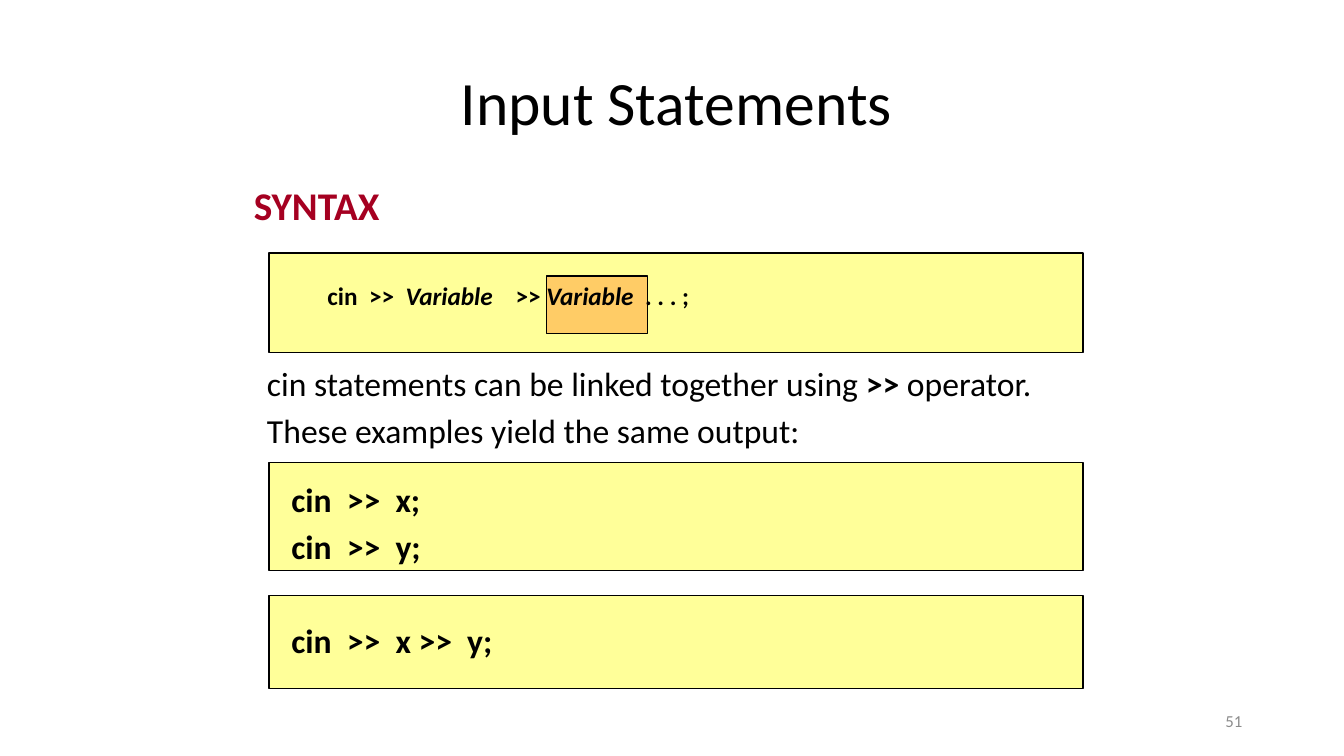
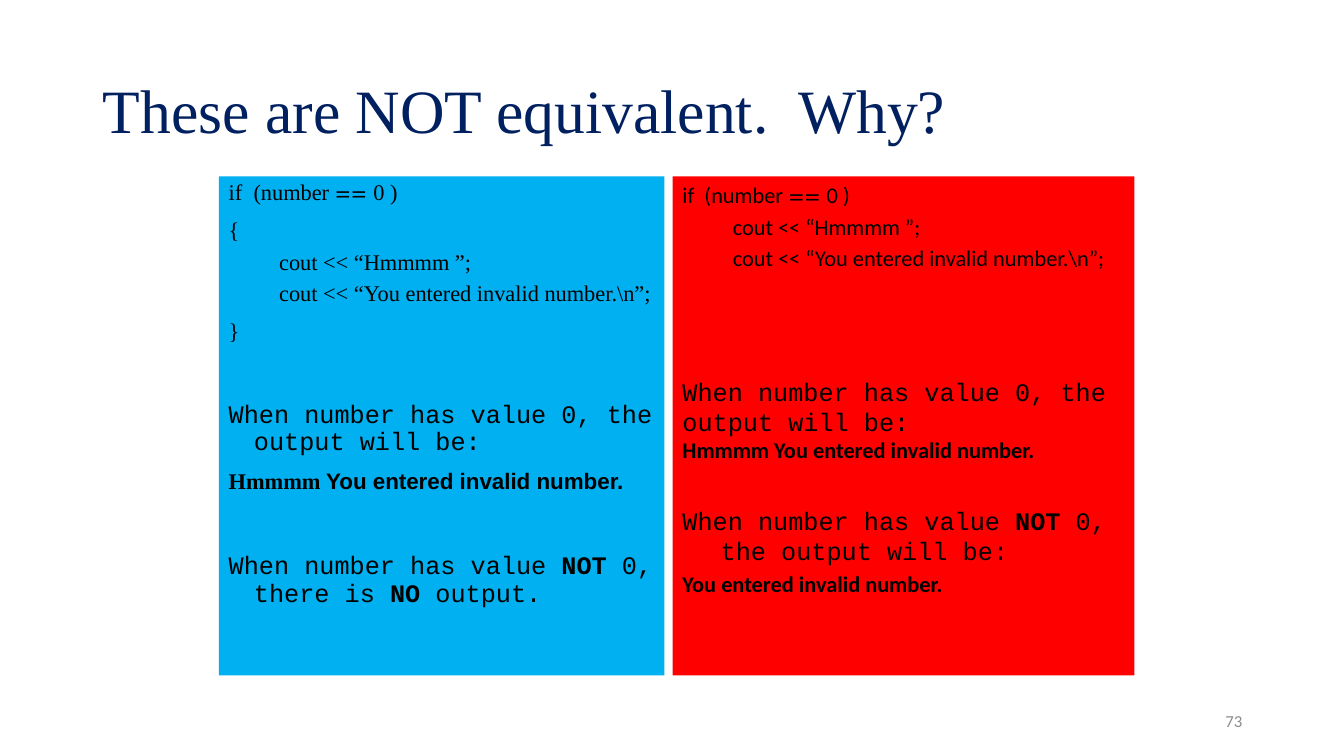
from dataclasses import dataclass, field

from pptx import Presentation
from pptx import util as u
from pptx.dml.color import RGBColor
from pptx.enum import shapes, text

PX = 9144  # EMU in one px, 100 px to the inch


@dataclass(frozen=True)
class Theme:
    ink: str = "000000"
    navy: str = "002060"
    wine: str = "A50021"
    gray: str = "8C8C8C"
    pale: str = "FFFF99"
    amber: str = "FFCC66"
    blue: str = "00B0F0"
    red: str = "FF0000"
    sans: str = "Calibri"
    serif: str = "Times New Roman"
    mono: str = "Courier New"
    plain: str = "Arial"
    sign: str = "TeX Gyre Adventor"
    title: int = 44
    head: int = 28
    body: int = 24
    note: int = 18
    code: int = 16
    foot: int = 12


T = Theme()


@dataclass
class Run:
    text: str
    bold: bool = False
    italic: bool = False
    font: str = ""


@dataclass
class Para:
    runs: list
    size: int = T.body
    font: str = T.sans
    color: str = T.ink
    before: float = 0
    left: int = 0
    hang: int = 0
    pitch: float = 1.0
    align: int = field(default=text.PP_ALIGN.LEFT)


class Deck:
    def __init__(self):
        self.prs = Presentation()
        self.prs.slide_width = 1333 * PX
        self.prs.slide_height = 750 * PX
        self.slide = None

    def page(self, number):
        self.slide = self.prs.slides.add_slide(self.prs.slide_layouts[5])
        mark = Para([Run(number)], T.foot, color=T.gray, align=text.PP_ALIGN.RIGHT)
        self.label((942, 695, 300, 40), [mark], anchor=text.MSO_ANCHOR.MIDDLE)

    def title(self, box, para):
        shape = self.slide.shapes.title
        shape.left, shape.top, shape.width, shape.height = (n * PX for n in box)
        self.fill(shape, [para], anchor=text.MSO_ANCHOR.MIDDLE)

    def label(self, box, paras, **style):
        shape = self.slide.shapes.add_textbox(*(n * PX for n in box))
        self.fill(shape, paras, **style)

    def rect(self, box, color, paras=(), edge=True, **style):
        kind = shapes.MSO_SHAPE.RECTANGLE
        shape = self.slide.shapes.add_shape(kind, *(n * PX for n in box))
        shape.shadow.inherit = False
        shape.fill.solid()
        shape.fill.fore_color.rgb = RGBColor.from_string(color)
        if edge:
            shape.line.color.rgb = RGBColor.from_string(T.ink)
            shape.line.width = u.Pt(1)
        else:
            shape.line.fill.background()
        if paras:
            self.fill(shape, paras, **style)

    def fill(self, shape, paras, inset=(10, 5), anchor=text.MSO_ANCHOR.TOP):
        frame = shape.text_frame
        frame.word_wrap = True
        frame.auto_size = text.MSO_AUTO_SIZE.NONE
        frame.vertical_anchor = anchor
        frame.margin_left, frame.margin_top = (n * PX for n in inset)
        frame.margin_right, frame.margin_bottom = 10 * PX, 5 * PX
        for i, para in enumerate(paras):
            line = frame.add_paragraph() if i else frame.paragraphs[0]
            self.typeset(line, para)

    def typeset(self, line, para):
        line.alignment = para.align
        line.space_before = u.Pt(para.before)
        line.line_spacing = para.pitch
        props = line._p.get_or_add_pPr()
        props.set("marL", str(para.left * PX))
        props.set("indent", str(-para.hang * PX))
        for part in para.runs:
            run = line.add_run()
            run.text = part.text
            font = run.font
            font.name = part.font or para.font
            font.size = u.Pt(para.size)
            font.bold, font.italic = part.bold, part.italic
            font.color.rgb = RGBColor.from_string(para.color)


def syntax(deck):
    deck.page("51")
    deck.title((225, 50, 892, 100), Para([Run("Input Statements")], T.title,
                                         align=text.PP_ALIGN.CENTER))
    deck.label((242, 175, 300, 60),
               [Para([Run("SYNTAX", True)], T.head, color=T.wine)])

    # General form, with one variable marked
    deck.rect((267, 251, 807, 99), T.pale)
    deck.rect((542, 274, 100, 57), T.amber)
    form = [Run("cin  >>  ", True), Run("Variable", True, True),
            Run("    >> ", True), Run("Variable", True, True),
            Run("  . . . ;", True)]
    deck.label((315, 273, 400, 40), [Para(form, T.note)])

    # Explanation
    linked = [Run("cin statements can be linked together using "),
              Run(">>", True), Run(" operator.")]
    same = [Run("These examples yield the same output:")]
    deck.label((255, 355, 830, 100), [Para(linked), Para(same, before=4.8)])

    # Examples
    for top, high, inset, codes in (
            (459, 107, 16, ("cin  >>  x;", "cin  >>  y;")),
            (591, 92, 24, ("cin  >>  x >>  y;",))):
        paras = [Para([Run(code, True)], before=4.8 if i else 0)
                 for i, code in enumerate(codes)]
        deck.rect((267, top, 807, high), T.pale, paras, inset=(22, inset))


def compare(deck):
    deck.page("73")
    deck.title((92, 40, 1150, 145), Para([Run("These are NOT equivalent.  Why?")],
                                         T.title, T.serif, T.navy, pitch=0.9))
    test = [Run("if  (number "), Run("== ", font=T.sign), Run("0 )")]
    prints = ("cout << “Hmmmm ”;", "cout << “You entered invalid number.\\n”;")
    zero = [Run("When number has value 0, the output will be:")]
    other = [Run("When number has value "), Run("NOT", True)]
    result = "You entered invalid number."

    # With braces
    def braced(runs, size=T.code, font=T.serif, before=10, left=25):
        return Para(runs, size, font, before=before, left=left, hang=25, pitch=0.9)

    paras = [braced(test, before=0), braced([Run("{")])]
    paras += [braced([Run(code)], before=5, left=75) for code in prints]
    paras += [
        braced([Run("}")]),
        braced(zero, T.note, T.mono, 41),
        braced([Run("Hmmmm ", True), Run(result, True, font=T.plain)]),
        braced(other + [Run(" 0, there is "), Run("NO", True), Run(" output.")],
               T.note, T.mono, 42),
    ]
    deck.rect((217, 175, 442, 495), T.blue, paras, edge=False)

    # Without braces
    paras = [Para(test, T.code)]
    paras += [Para([Run(code)], T.code, before=3.2, left=81, hang=31)
              for code in prints]
    paras += [
        Para(zero, T.note, T.mono, before=75),
        Para([Run("Hmmmm " + result, True)], T.code),
        Para(other + [Run(" 0, the output will be:")], T.note, T.mono,
             before=30, left=38, hang=38),
        Para([Run(result, True)], T.code, before=3.2),
    ]
    deck.rect((667, 175, 458, 495), T.red, paras, edge=False)


def main():
    deck = Deck()
    syntax(deck)
    compare(deck)
    deck.prs.save("out.pptx")


if __name__ == "__main__":
    main()
